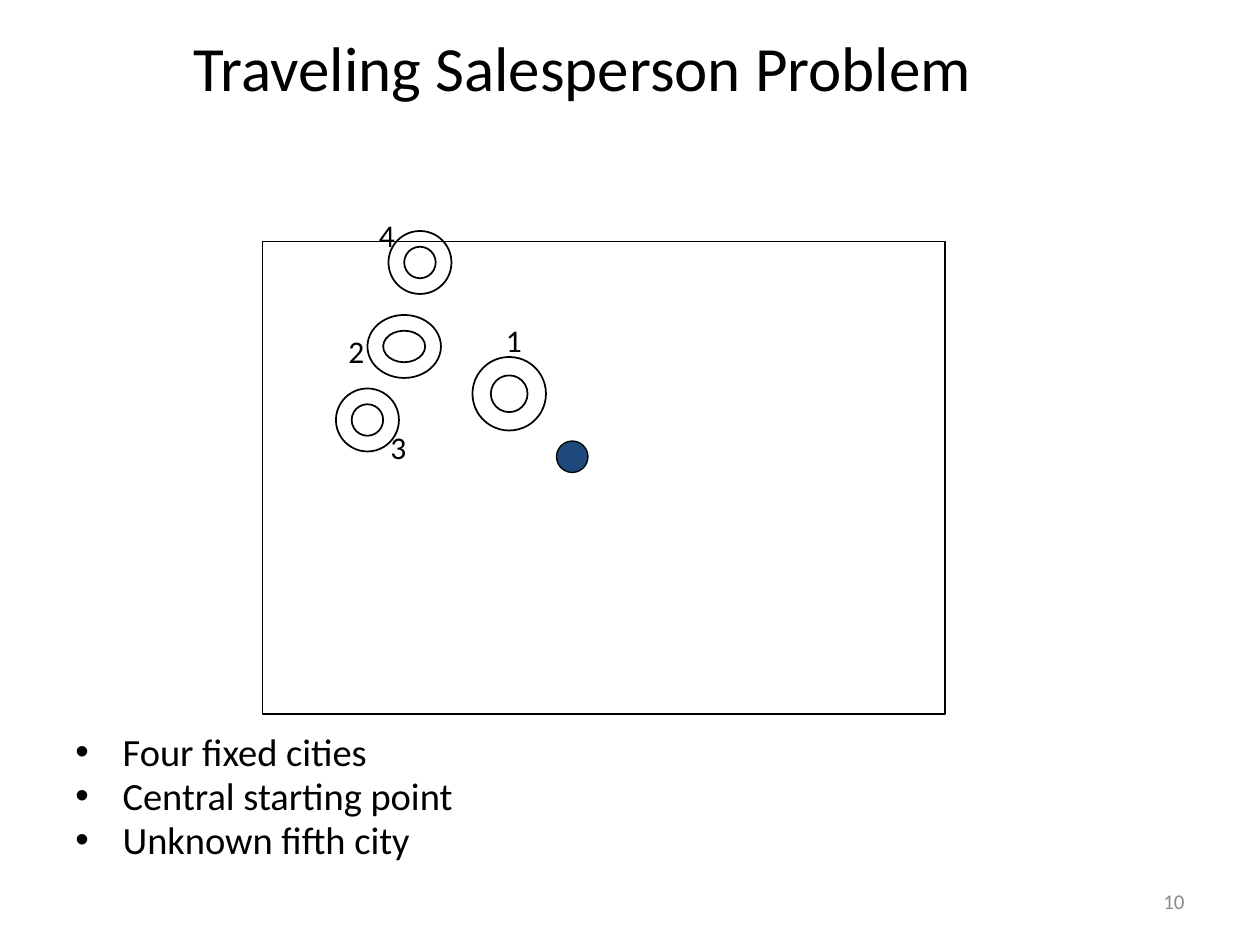
from typing import NamedTuple

from lxml import etree
from pptx import Presentation
from pptx.dml.color import RGBColor
from pptx.enum.shapes import MSO_SHAPE
from pptx.enum.text import MSO_ANCHOR, MSO_AUTO_SIZE, PP_ALIGN
from pptx.oxml.ns import qn
from pptx.util import Pt

RECTANGLE, ELLIPSE, DONUT = MSO_SHAPE.RECTANGLE, MSO_SHAPE.OVAL, MSO_SHAPE.DONUT
TOP, MIDDLE = MSO_ANCHOR.TOP, MSO_ANCHOR.MIDDLE
LEFT, CENTER, RIGHT = PP_ALIGN.LEFT, PP_ALIGN.CENTER, PP_ALIGN.RIGHT
NO_FIT = MSO_AUTO_SIZE.NONE
BLACK, GRAY, NAVY = "000000", "8C8C8C", "1F497D"
TITLE_ONLY = 5
BULLET_INDENT = 27


class Box(NamedTuple):
    left: float
    top: float
    width: float
    height: float


class City(NamedTuple):
    number: str
    ring: Box
    label: Box


CITIES = [
    City("4", Box(222, 132, 36, 36), Box(209.5, 120, 24.5, 29)),
    City("2", Box(210, 180, 42, 36), Box(192, 186, 24.5, 29)),
    City("3", Box(192, 222, 36, 36), Box(216, 241, 24.5, 29)),
    City("1", Box(270, 204, 42, 42), Box(282, 180, 24.5, 29)),
]
FRAME = Box(150, 138, 390, 270)
START = Box(318, 252, 18, 18)
FACTS = ["Four fixed cities", "Central starting point", "Unknown fifth city"]


def color(value: str) -> RGBColor:
    return RGBColor.from_string(value)


def points(box: Box) -> list:
    return [Pt(length) for length in box]


def apply(target, values: dict) -> None:
    for name, value in values.items():
        setattr(target, name, value)


def draw_shape(slide, kind, box: Box, line_width: float, fill: str = "") -> None:
    shape = slide.shapes.add_shape(kind, *points(box))
    shape.shadow.inherit = False
    shape.line.width = Pt(line_width)
    shape.line.color.rgb = color(BLACK)
    if fill:
        shape.fill.solid()
        shape.fill.fore_color.rgb = color(fill)
    else:
        shape.fill.background()


def write_text(shape, lines: list, size: float, text_color: str = BLACK,
               alignment=LEFT, **frame_format) -> list:
    frame = shape.text_frame
    apply(frame, {"auto_size": NO_FIT, "word_wrap": True,
                  "vertical_anchor": TOP, **frame_format})
    frame.text = "\n".join(lines)
    for paragraph in frame.paragraphs:
        paragraph.alignment = alignment
        font = paragraph.runs[0].font
        apply(font, {"name": "Calibri", "size": Pt(size)})
        font.color.rgb = color(text_color)
    return list(frame.paragraphs)


def add_text(slide, box: Box, lines: list, size: float, **text_format) -> list:
    return write_text(slide.shapes.add_textbox(*points(box)), lines, size, **text_format)


def add_bullet(paragraph) -> None:
    apply(paragraph, {"line_spacing": 0.8, "space_before": Pt(4)})
    properties = paragraph._p.get_or_add_pPr()
    properties.set("marL", str(Pt(BULLET_INDENT)))
    properties.set("indent", str(-Pt(BULLET_INDENT)))
    etree.SubElement(properties, qn("a:buFont")).set("typeface", "Arial")
    etree.SubElement(properties, qn("a:buChar")).set("char", "•")


def main() -> None:
    presentation = Presentation()
    apply(presentation, {"slide_width": Pt(720), "slide_height": Pt(540)})
    slide = presentation.slides.add_slide(presentation.slide_layouts[TITLE_ONLY])

    title = slide.shapes.title
    apply(title, dict(zip(Box._fields, points(Box(36, 9.5, 594, 102)))))
    write_text(title, ["Traveling Salesperson Problem"], 36,
               alignment=CENTER, margin_top=Pt(7))

    for city in CITIES:
        draw_shape(slide, DONUT, city.ring, 1)
    draw_shape(slide, RECTANGLE, FRAME, 0.75)
    draw_shape(slide, ELLIPSE, START, 0.75, NAVY)
    for city in CITIES:
        add_text(slide, city.label, [city.number], 18, word_wrap=False)

    for paragraph in add_text(slide, Box(36, 417.6, 648, 86.4), FACTS, 22):
        add_bullet(paragraph)
    add_text(slide, Box(516, 500.5, 168, 28.75), ["10"], 12, text_color=GRAY,
             alignment=RIGHT, vertical_anchor=MIDDLE)

    presentation.save("out.pptx")


if __name__ == "__main__":
    main()
